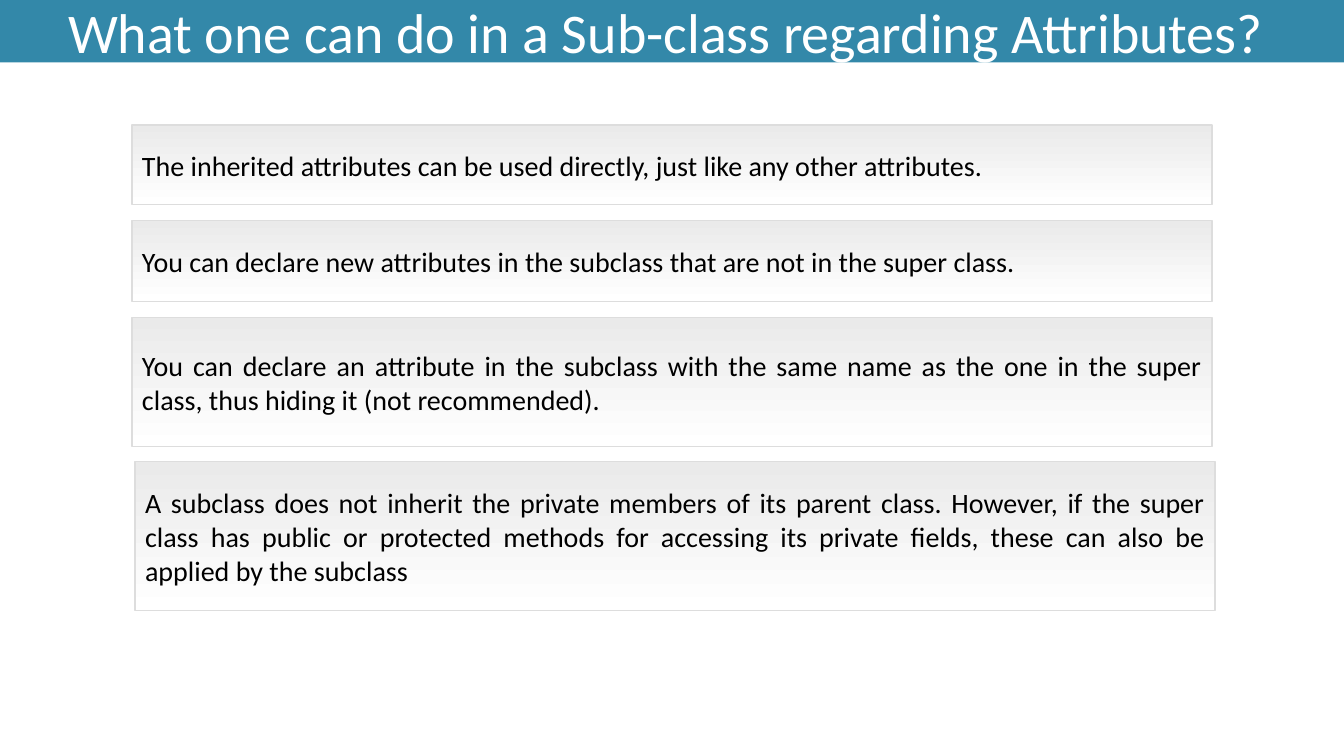
from pptx import Presentation
from pptx.dml.color import RGBColor
from pptx.enum.shapes import MSO_SHAPE
from pptx.enum.text import MSO_ANCHOR, MSO_AUTO_SIZE, PP_ALIGN
from pptx.util import Inches, Pt

COLORS = {
    "band": "3388A9",
    "top": "EAEAEA",
    "base": "FFFFFF",
    "edge": "DDDDDD",
    "text": "000000",
    "title": "FFFFFF",
}
TITLE = "What one can do in a Sub-class regarding Attributes? "
RULES = [
    (1.31, 1.24, 0.79, "The inherited attributes can be used directly, "
     "just like any other attributes. "),
    (1.31, 2.19, 0.8, "You can declare new attributes in the subclass "
     "that are not in the super class. "),
    (1.31, 3.15, 1.28, "You can declare an attribute in the subclass with the same "
     "name as the one in the super class, thus hiding it (not recommended). "),
    (1.34, 4.58, 1.48, "A subclass does not inherit the private members of its parent "
     "class. However, if the super class has public or protected methods for "
     "accessing its private fields, these can also be applied by the subclass"),
]


def color(name):
    """Return the named colour."""
    return RGBColor.from_string(COLORS[name])


def write(shape, text, size, ink, align, inset):
    """Put one formatted paragraph in the middle of a shape."""
    frame = shape.text_frame
    frame.text = text
    frame.word_wrap = True
    frame.auto_size = MSO_AUTO_SIZE.NONE
    frame.vertical_anchor = MSO_ANCHOR.MIDDLE
    frame.margin_left = frame.margin_right = Inches(0.1)
    frame.margin_top = frame.margin_bottom = Inches(inset)
    para = frame.paragraphs[0]
    para.alignment = align
    font = para.runs[0].font
    font.name = "Calibri"
    font.size = Pt(size)
    font.color.rgb = color(ink)


def add_title(slide):
    """Turn the title placeholder into the band across the top."""
    title = slide.shapes.title
    title.left, title.top = Inches(0), Inches(0)
    title.width, title.height = Inches(13.33), Inches(0.62)
    title.fill.solid()
    title.fill.fore_color.rgb = color("band")
    write(title, TITLE, 40, "title", PP_ALIGN.CENTER, 0.05)


def add_rule(slide, left, top, height, text):
    """Add a shaded box that holds one rule."""
    box = slide.shapes.add_shape(
        MSO_SHAPE.RECTANGLE, Inches(left), Inches(top), Inches(10.71), Inches(height))
    box.shadow.inherit = False
    box.fill.gradient()
    box.fill.gradient_angle = 270
    for stop, name in zip(box.fill.gradient_stops, ("top", "base")):
        stop.color.rgb = color(name)
    box.line.color.rgb = color("edge")
    box.line.width = Pt(1)
    write(box, text, 20, "text", PP_ALIGN.JUSTIFY, 0.1)


def main():
    """Build and save the slide."""
    deck = Presentation()
    deck.slide_width, deck.slide_height = Inches(13.33), Inches(7.5)
    slide = deck.slides.add_slide(deck.slide_layouts[5])
    add_title(slide)
    for rule in RULES:
        add_rule(slide, *rule)
    deck.save("out.pptx")


if __name__ == "__main__":
    main()
